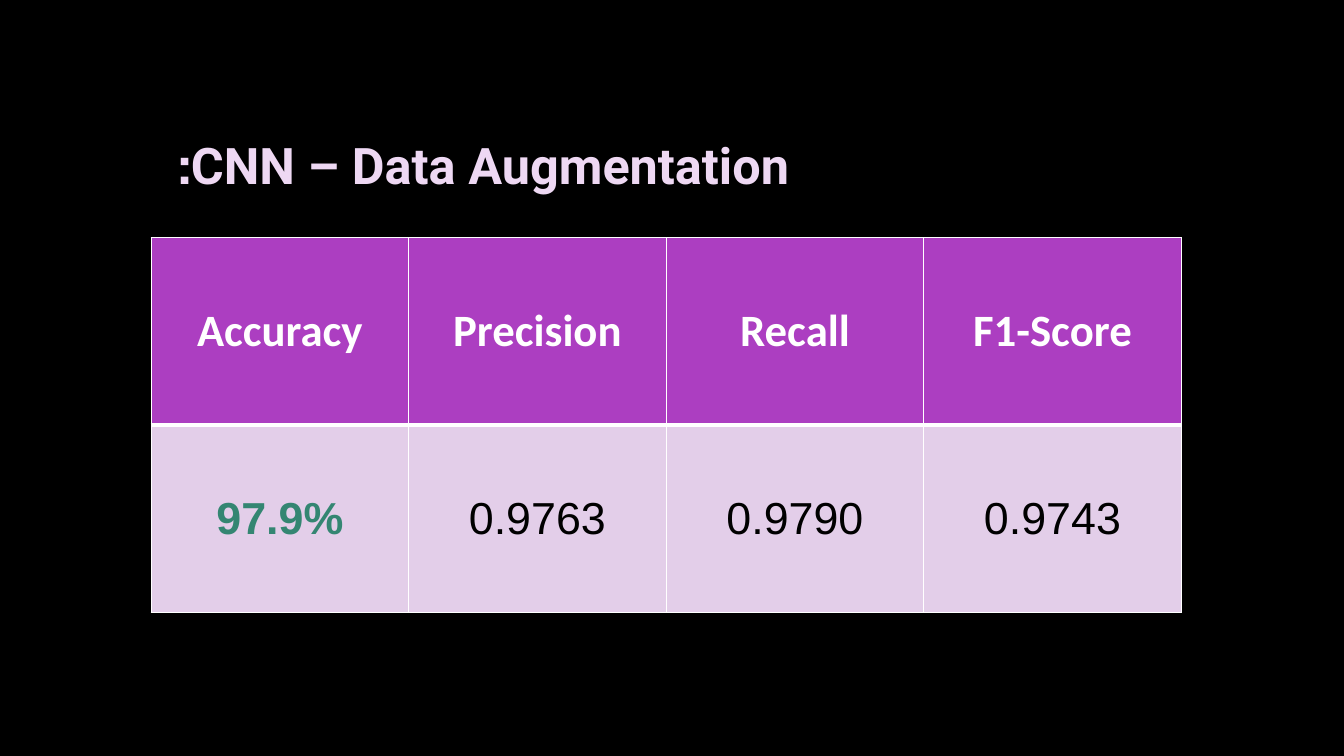
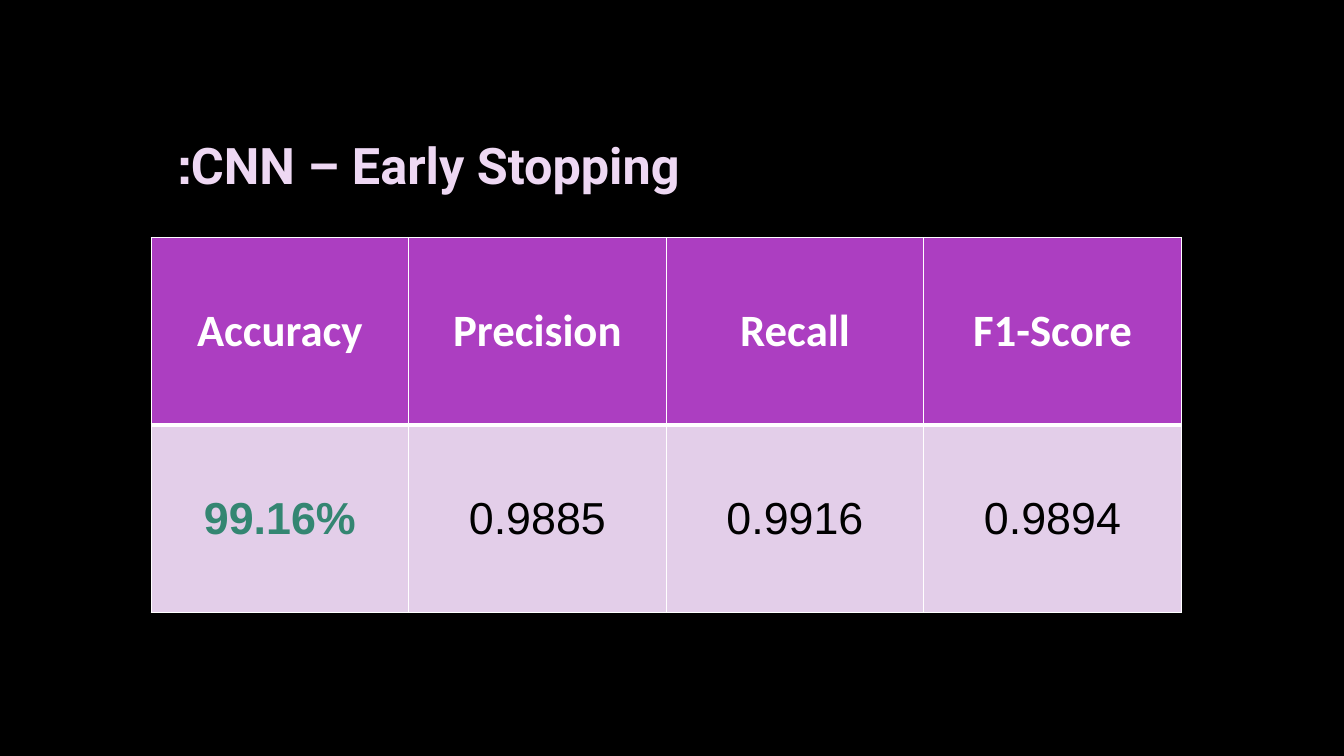
"""Build two slides that report CNN metrics in matching tables."""
from dataclasses import dataclass

from lxml import etree
from pptx import Presentation
from pptx.dml.color import RGBColor
from pptx.enum import dml, text
from pptx.oxml import ns
from pptx.util import Cm, Pt

METRICS = ("Accuracy", "Precision", "Recall", "F1-Score")
RESULTS = (
    ("CNN – Data Augmentation:", ("97.9%", "0.9763", "0.9790", "0.9743")),
    ("CNN – Early Stopping:", ("99.16%", "0.9885", "0.9916", "0.9894")),
)


@dataclass(frozen=True)
class Theme:
    background: str = "000000"
    accent: str = "AC3EC1"
    title_tint: str = "EED8F3"
    value_fill: str = "E3CEE9"
    header_text: str = "FFFFFF"
    value_text: str = "000000"
    highlight: str = "348672"
    border: str = "FFFFFF"
    title_font: str = "Roboto"
    table_font: str = "Calibri"
    digit_font: str = "Arial"
    title_size: int = 36
    table_size: int = 32
    thin: int = 1
    thick: int = 3


THEME = Theme()
SLIDE_SIZE = (Cm(33.87), Cm(19.05))
TITLE_BOX = (Cm(4.24), Cm(2.11), Cm(28.14), Cm(4.04))
TABLE_CORNER = (Cm(3.81), Cm(5.99))
COLUMN_WIDTH, ROW_HEIGHT = Cm(6.49), Cm(4.72)


def rgb(color):
    return RGBColor.from_string(color)


def line_element(tag, color, points):
    line = etree.Element(ns.qn(tag), w=str(Pt(points)))
    fill = etree.SubElement(line, ns.qn("a:solidFill"))
    etree.SubElement(fill, ns.qn("a:srgbClr"), val=color)
    return line


def style_paragraph(paragraph, alignment, font_name, size, bold):
    paragraph.alignment = alignment
    paragraph._p.get_or_add_pPr().set("rtl", "1")
    font = paragraph.font
    font.name, font.size, font.bold = font_name, Pt(size), bold
    return font


def set_up_layout(prs):
    background = prs.slide_master.background.fill
    background.solid()
    background.fore_color.rgb = rgb(THEME.background)
    layout = prs.slide_layouts.get_by_name("Title Only")
    title = layout.placeholders[0]
    title.left, title.top, title.width, title.height = TITLE_BOX
    title.text_frame.vertical_anchor = text.MSO_ANCHOR.MIDDLE
    return layout


def fill_title(title, heading):
    title.text_frame.text = heading
    font = style_paragraph(title.text_frame.paragraphs[0], text.PP_ALIGN.LEFT,
                           THEME.title_font, THEME.title_size, True)
    font.fill.patterned()
    font.fill.pattern = dml.MSO_PATTERN.PERCENT_50
    font.fill.fore_color.rgb = rgb(THEME.accent)
    font.fill.back_color.rgb = rgb(THEME.title_tint)
    font._element.insert(0, line_element("a:ln", THEME.accent, THEME.thin))


def fill_cell(cell, label, fill, color, bold, top, bottom):
    cell.text = label
    cell.vertical_anchor = text.MSO_ANCHOR.MIDDLE
    font = style_paragraph(cell.text_frame.paragraphs[0], text.PP_ALIGN.CENTER,
                           THEME.table_font, THEME.table_size, bold)
    font.color.rgb = rgb(color)
    etree.SubElement(font._element, ns.qn("a:cs"), typeface=THEME.digit_font)
    cell.fill.solid()
    cell.fill.fore_color.rgb = rgb(fill)
    widths = (("a:lnL", THEME.thin), ("a:lnR", THEME.thin),
              ("a:lnT", top), ("a:lnB", bottom))
    properties = cell._tc.get_or_add_tcPr()
    for position, (side, points) in enumerate(widths):
        properties.insert(position, line_element(side, THEME.border, points))


def add_metrics(slide, values):
    count = len(METRICS)
    metrics = slide.shapes.add_table(
        2, count, *TABLE_CORNER, COLUMN_WIDTH * count, ROW_HEIGHT * 2).table
    for column, (metric, value) in enumerate(zip(METRICS, values)):
        leading = column == 0
        fill_cell(metrics.cell(0, column), metric, THEME.accent,
                  THEME.header_text, True, THEME.thin, THEME.thick)
        fill_cell(metrics.cell(1, column), value, THEME.value_fill,
                  THEME.highlight if leading else THEME.value_text,
                  leading, THEME.thick, THEME.thin)


def main():
    prs = Presentation()
    prs.slide_width, prs.slide_height = SLIDE_SIZE
    layout = set_up_layout(prs)
    for heading, values in RESULTS:
        slide = prs.slides.add_slide(layout)
        fill_title(slide.shapes.title, heading)
        add_metrics(slide, values)
    prs.save("out.pptx")


if __name__ == "__main__":
    main()
